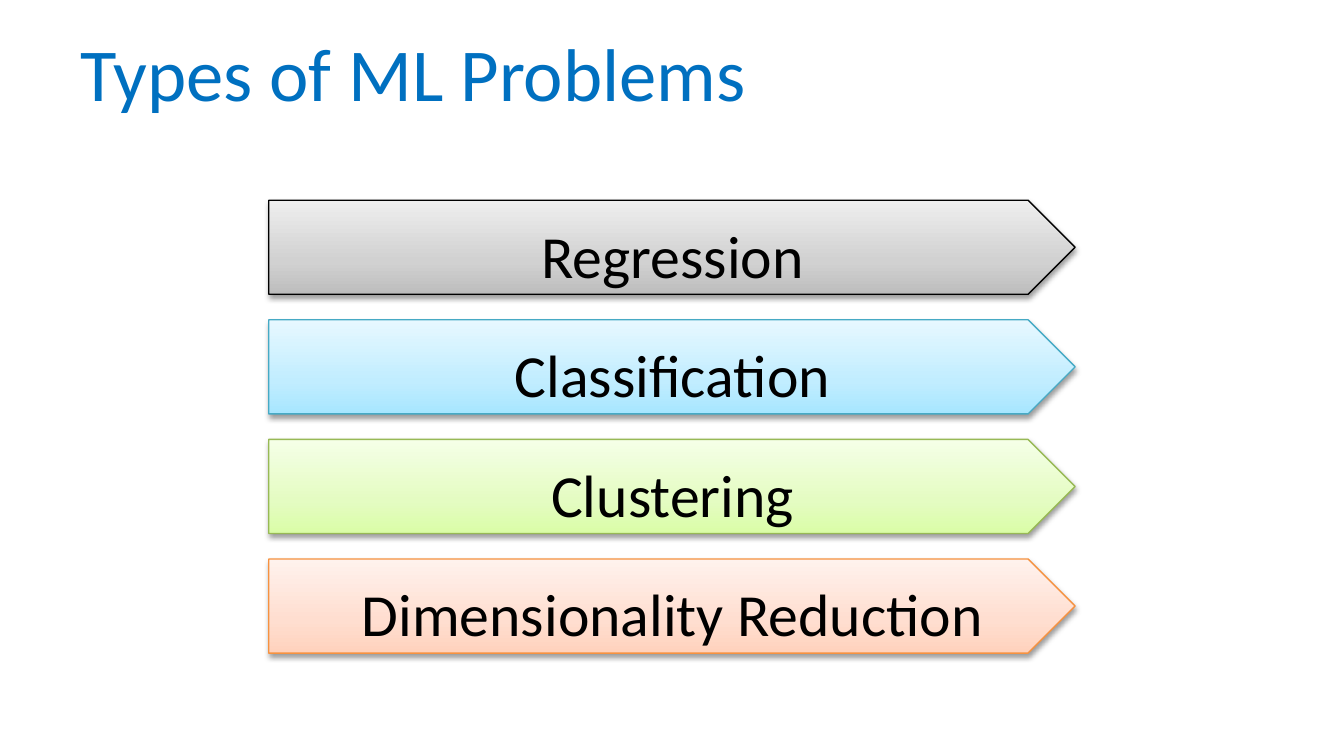
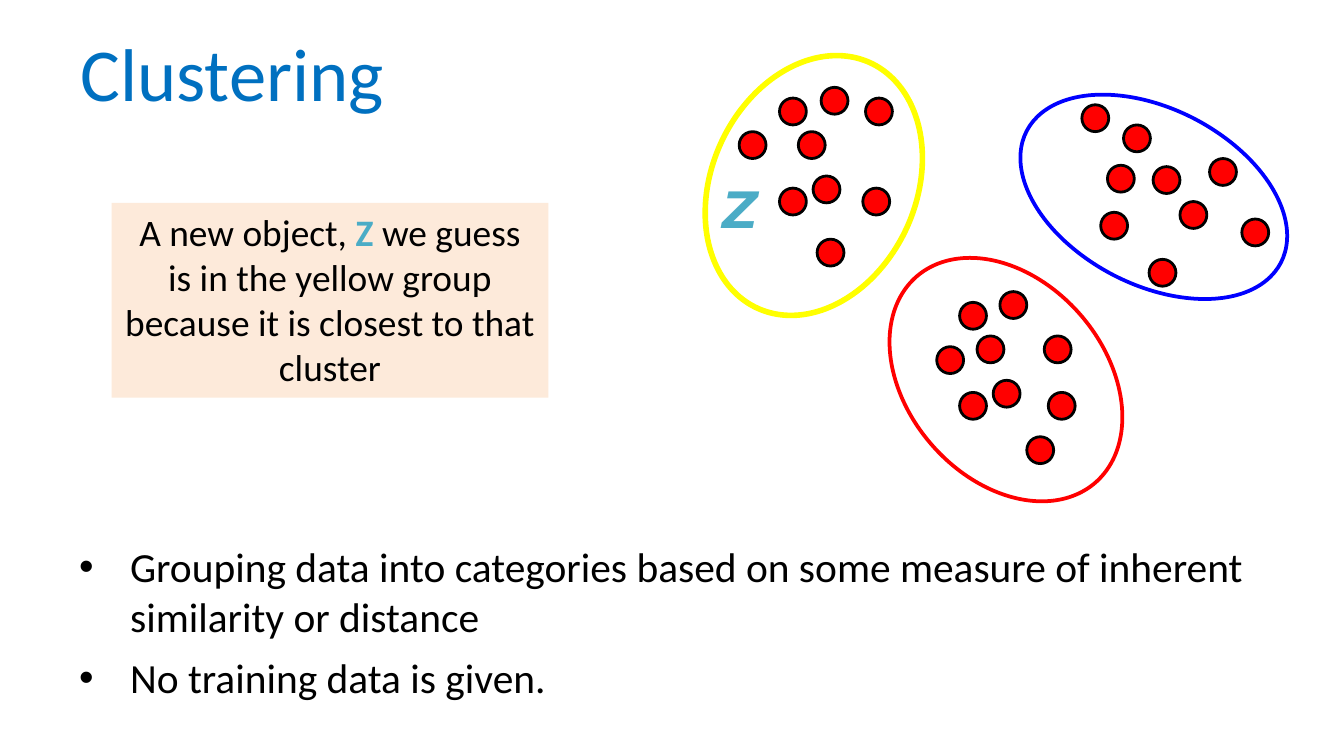
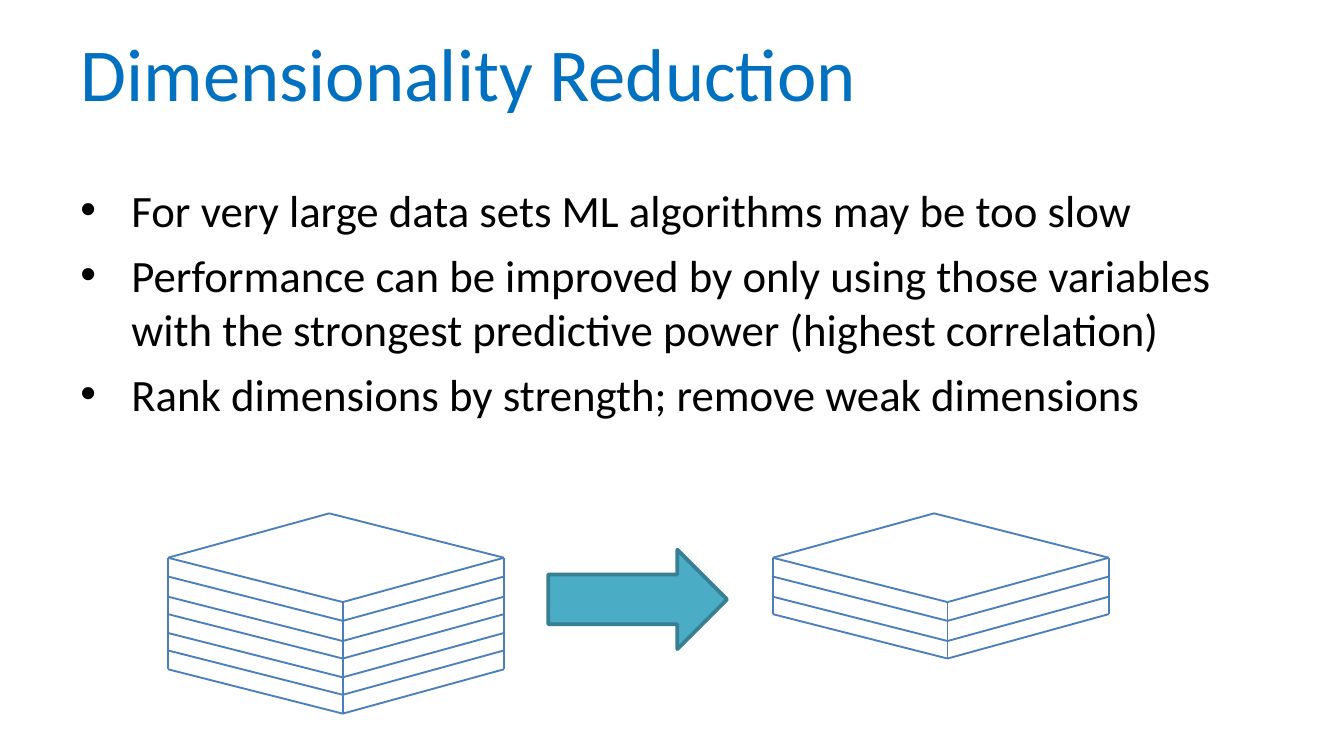
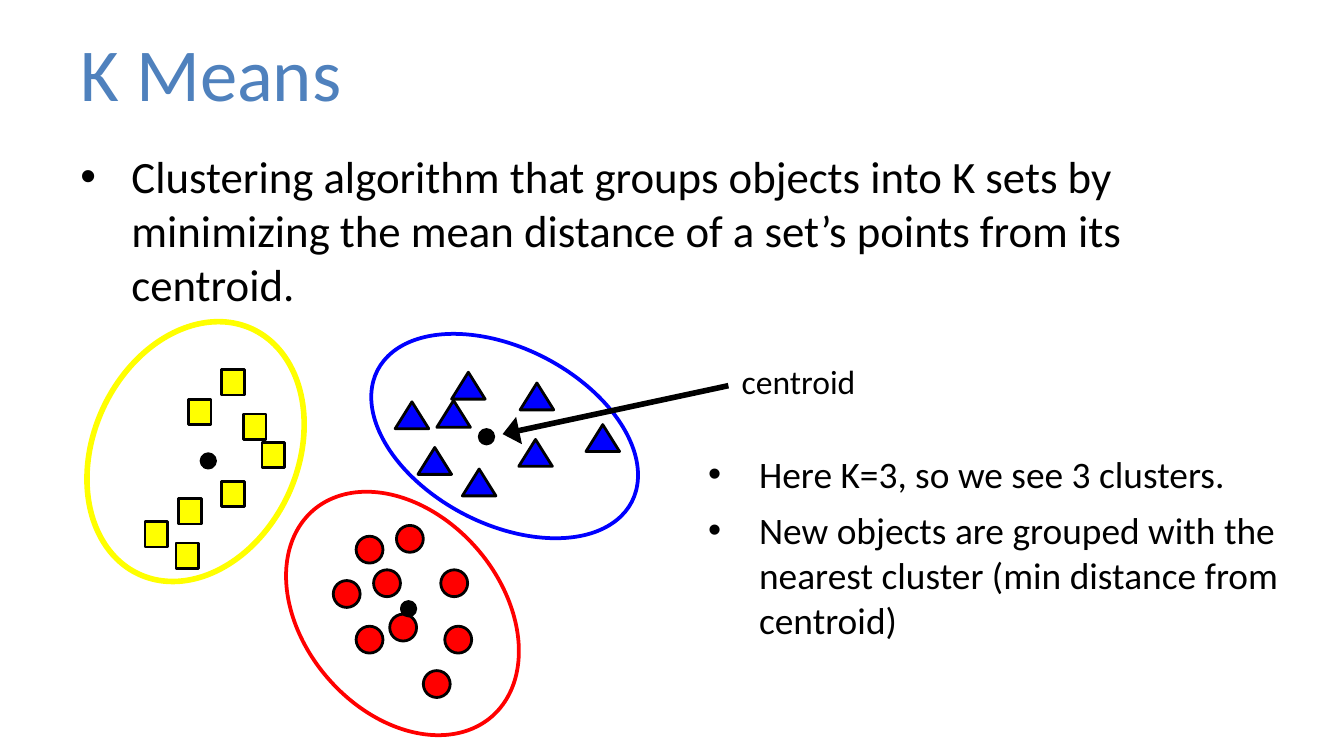
from copy import deepcopy

from lxml import etree
from pptx import Presentation
from pptx.dml.color import RGBColor
from pptx.enum.shapes import MSO_CONNECTOR, MSO_SHAPE
from pptx.enum.text import MSO_ANCHOR, MSO_AUTO_SIZE, PP_ALIGN
from pptx.oxml import parse_xml
from pptx.oxml.ns import nsdecls, qn
from pptx.util import Inches, Pt

STRAIGHT = MSO_CONNECTOR.STRAIGHT
OVAL = MSO_SHAPE.OVAL
RECTANGLE = MSO_SHAPE.RECTANGLE
TRIANGLE = MSO_SHAPE.ISOSCELES_TRIANGLE
RIGHT_ARROW = MSO_SHAPE.RIGHT_ARROW
PENTAGON = MSO_SHAPE.PENTAGON
LEFT = PP_ALIGN.LEFT
CENTER = PP_ALIGN.CENTER
TOP = MSO_ANCHOR.TOP
MIDDLE = MSO_ANCHOR.MIDDLE
NO_FIT = MSO_AUTO_SIZE.NONE

BLACK = RGBColor(0x00, 0x00, 0x00)
RED = RGBColor(0xFF, 0x00, 0x00)
YELLOW = RGBColor(0xFF, 0xFF, 0x00)
BLUE = RGBColor(0x00, 0x00, 0xFF)
TITLE_BLUE = RGBColor(0x00, 0x70, 0xC0)
SOFT_BLUE = RGBColor(0x4F, 0x81, 0xBD)
STACK_BLUE = RGBColor(0x4B, 0x7E, 0xBC)
TEAL = RGBColor(0x4B, 0xAC, 0xC6)
DARK_TEAL = RGBColor(0x37, 0x7F, 0x92)
PEACH = RGBColor(0xFD, 0xEA, 0xDA)
GREEN_LINE = RGBColor(0x98, 0xB9, 0x55)
CYAN_LINE = RGBColor(0x46, 0xAA, 0xC5)
ORANGE_LINE = RGBColor(0xF6, 0x92, 0x40)
GRAY_SHADES = RGBColor(0xBD, 0xBD, 0xBD), RGBColor(0xD1, 0xD1, 0xD1), RGBColor(0xEE, 0xEE, 0xEE)
CYAN_SHADES = RGBColor(0xA7, 0xE6, 0xFF), RGBColor(0xC1, 0xED, 0xFF), RGBColor(0xE7, 0xF8, 0xFF)
GREEN_SHADES = RGBColor(0xDA, 0xFD, 0xA7), RGBColor(0xE4, 0xFC, 0xC2), RGBColor(0xF5, 0xFF, 0xE7)
ORANGE_SHADES = RGBColor(0xFF, 0xD2, 0xBD), RGBColor(0xFF, 0xDE, 0xD0), RGBColor(0xFF, 0xF2, 0xED)


def write_text(frame, paragraphs, size, color=BLACK, font="Calibri", bold=False, italic=False,
               accent="", align=LEFT, anchor=TOP, wrap=True, bullet=False,
               before=0, after=0, spacing=1.0):
    frame.word_wrap = wrap
    frame.auto_size = NO_FIT
    frame.vertical_anchor = anchor
    for index, text in enumerate(paragraphs):
        paragraph = frame.add_paragraph() if index else frame.paragraphs[0]
        paragraph.alignment = align
        paragraph.line_spacing = spacing
        paragraph.space_before = Pt(before)
        paragraph.space_after = Pt(after)
        if bullet:
            properties = paragraph._p.get_or_add_pPr()
            properties.set("marL", str(Inches(0.38)))
            properties.set("indent", str(Inches(-0.38)))
            etree.SubElement(properties, qn("a:buFont")).set("typeface", "Arial")
            etree.SubElement(properties, qn("a:buChar")).set("char", "•")
        for line_index, line in enumerate(text.split("\n")):
            if line_index:
                paragraph.add_line_break()
            for part in line.partition(accent) if accent else [line]:
                run = paragraph.add_run()
                run.text = part
                run.font.name = font
                run.font.size = Pt(size)
                run.font.bold = bold or part == accent
                run.font.italic = italic
                run.font.color.rgb = TEAL if part == accent else color


def add_figure(slide, preset, left, top, width, height, fill=None, line=None, weight=1.5, rotation=0):
    shape = slide.shapes.add_shape(preset, Inches(left), Inches(top), Inches(width), Inches(height))
    shape.shadow.inherit = False
    shape.rotation = rotation
    if fill is None:
        shape.fill.background()
    else:
        shape.fill.solid()
        shape.fill.fore_color.rgb = fill
    if line is None:
        shape.line.fill.background()
    else:
        shape.line.color.rgb = line
        shape.line.width = Pt(weight)
    return shape


presentation = Presentation()
presentation.slide_width = Inches(10)
presentation.slide_height = Inches(10 * 9 / 16)

TITLES = [
    ("Types of ML Problems", TITLE_BLUE),
    ("Clustering", TITLE_BLUE),
    ("Dimensionality Reduction", TITLE_BLUE),
    ("K Means", SOFT_BLUE),
]
slides = []
for title_text, title_color in TITLES:
    slide = presentation.slides.add_slide(presentation.slide_layouts[5])
    title = slide.shapes.title
    title.left, title.top, title.width, title.height = map(Inches, (0.5, 0.06, 9, 0.94))
    write_text(title.text_frame, [title_text], 40, title_color, anchor=MIDDLE)
    slides.append(slide)
types_slide, clustering_slide, reduction_slide, means_slide = slides

PROBLEMS = [
    ("Regression", GRAY_SHADES, BLACK),
    ("Classification", CYAN_SHADES, CYAN_LINE),
    ("Clustering", GREEN_SHADES, GREEN_LINE),
    ("Dimensionality Reduction", ORANGE_SHADES, ORANGE_LINE),
]
for index, (name, shades, outline) in enumerate(PROBLEMS):
    banner = add_figure(types_slide, PENTAGON, 2, 1.49 + 0.89 * index, 6, 0.7, line=outline, weight=0.75)
    banner.fill.gradient()
    banner.fill.gradient_angle = 90
    first_stop = banner._element.spPr.find(".//" + qn("a:gs"))
    first_stop.addnext(deepcopy(first_stop))
    for stop, shade, position in zip(banner.fill.gradient_stops, shades, (0, 0.35, 1)):
        stop.color.rgb = shade
        stop.position = position
    banner._element.spPr.find(qn("a:effectLst")).append(parse_xml(
        f'<a:outerShdw {nsdecls("a")} blurRad="{Pt(3.1)}" dist="{Pt(1.6)}" dir="5400000" rotWithShape="0">'
        '<a:srgbClr val="000000"><a:alpha val="38000"/></a:srgbClr></a:outerShdw>'))
names_box = types_slide.shapes.add_textbox(Inches(2.17), Inches(1.31), Inches(5.67), Inches(3.71))
write_text(names_box.text_frame, [name for name, shades, outline in PROBLEMS], 32,
           align=CENTER, spacing=1.5, before=6.4)

BULLETS = [
    (clustering_slide, (0.49, 3.98, 9, 1.35), 22.2, [
        "Grouping data into categories based on some measure of inherent similarity or distance",
        "No training data is given.",
    ]),
    (reduction_slide, (0.5, 1.31, 9, 2.17), 24, [
        "For very large data sets ML algorithms may be too slow",
        "Performance can be improved by only using those variables with the strongest "
        "predictive power (highest correlation)",
        "Rank dimensions by strength; remove weak dimensions",
    ]),
    (means_slide, (0.5, 1.06, 9, 1.44), 24, [
        "Clustering algorithm that groups objects into K sets by minimizing the mean distance "
        "of a set’s points from its centroid.",
    ]),
    (means_slide, (5.17, 3.31, 4.67, 1.53), 20, [
        "Here K=3, so we see 3 clusters.",
        "New objects are grouped with the\nnearest cluster (min distance from\ncentroid)",
    ]),
]
for slide, box, size, lines in BULLETS:
    bullet_box = slide.shapes.add_textbox(*map(Inches, box))
    write_text(bullet_box.text_frame, lines, size, bullet=True, after=6)

RED_DOTS = [(0.5, 0.49), (0.8, 0.41), (0.67, 0.83), (0.92, 0.74), (1.17, 1.16),
            (0.67, 0.16), (0.97, 0.08), (1.3, 0.41), (1.33, 0.83)]
RINGS = [
    (BLUE, 2.13, 1.31, 27.4, 2),
    (YELLOW, 2.01, 1.52, 114.7, 3),
    (RED, 2.03, 1.47, 49.1, 2),
]
RING_CORNERS = [
    (clustering_slide, [(7.52, 0.81), (5.05, 0.62), (6.47, 2.09)]),
    (means_slide, [(2.69, 2.59), (0.45, 2.6), (1.98, 3.83)]),
]
for slide, corners in RING_CORNERS:
    for (left, top), (color, width, height, rotation, weight) in zip(corners, RINGS):
        add_figure(slide, OVAL, left, top, width, height, line=color, weight=weight, rotation=rotation)
    red_left, red_top = corners[-1]
    for x, y in RED_DOTS:
        add_figure(slide, OVAL, red_left + x, red_top + y, 0.2, 0.2, RED, BLACK)

callout = add_figure(clustering_slide, RECTANGLE, 0.83, 1.51, 3.25, 1.45, PEACH)
write_text(callout.text_frame,
           ["A new object, Z we guess is in the yellow group because it is closest to that cluster"],
           20, accent="Z", align=CENTER, after=6)
new_object = clustering_slide.shapes.add_textbox(Inches(5.27), Inches(1.26), Inches(0.49), Inches(0.57))
write_text(new_object.text_frame, ["Z"], 28, TEAL, font="Montserrat", bold=True, italic=True, wrap=False)

BLUE_GROUP_DOTS = [(8.24, 1.23), (8.58, 1.24), (8.19, 1.58), (8.78, 1.5), (8.55, 1.93),
                   (8.36, 0.93), (8.05, 0.78), (9, 1.18), (9.24, 1.63)]
YELLOW_GROUP_DOTS = [(5.5, 0.98), (5.94, 0.98), (5.8, 1.4), (6.05, 1.31), (6.08, 1.78),
                     (5.8, 0.73), (6.11, 0.65), (6.44, 0.73), (6.42, 1.4)]
TRIANGLES = [(2.94, 2.99), (3.11, 3.33), (4.36, 3.16), (3.44, 3.49),
             (3.36, 2.77), (3.25, 2.98), (3.87, 2.85), (3.86, 3.27)]
SQUARES = [(1.4, 2.97), (1.33, 3.71), (1.65, 2.75), (1.81, 3.08),
           (1.08, 3.88), (1.31, 4.04), (1.95, 3.29), (1.65, 3.58)]
CENTROIDS = [(1.5, 3.38), (2.99, 4.48), (3.57, 3.2)]
MARKERS = [
    (clustering_slide, OVAL, 0.2, 0.2, RED, 1.5, BLUE_GROUP_DOTS + YELLOW_GROUP_DOTS),
    (means_slide, TRIANGLE, 0.25, 0.2, BLUE, 1.5, TRIANGLES),
    (means_slide, RECTANGLE, 0.17, 0.19, YELLOW, 1.5, SQUARES),
    (means_slide, OVAL, 0.1, 0.1, BLACK, 2, CENTROIDS),
]
for slide, preset, width, height, fill, weight, corners in MARKERS:
    for left, top in corners:
        add_figure(slide, preset, left, top, width, height, fill, BLACK, weight)

LAYER_LEVELS = [4.15, 4.29, 4.44, 4.57, 4.71, 4.84, 4.98]
FRONT_DROP = 0.33
for left, levels in ((5.75, LAYER_LEVELS[:4]), (1.25, LAYER_LEVELS)):
    back, front, right = left + 1.2, left + 1.3, left + 2.5
    top, bottom = levels[0], levels[-1]
    edges = [
        (left, top, back, top - FRONT_DROP),
        (back, top - FRONT_DROP, right, top),
        (left, top, left, bottom),
        (front, top + FRONT_DROP, front, bottom + FRONT_DROP),
        (right, top, right, bottom),
    ]
    for level in levels:
        edges.append((left, level, front, level + FRONT_DROP))
        edges.append((front, level + FRONT_DROP, right, level))
    stack = reduction_slide.shapes.add_group_shape()
    for edge in edges:
        connector = stack.shapes.add_connector(STRAIGHT, *map(Inches, edge))
        connector.line.color.rgb = STACK_BLUE
        connector.line.width = Pt(1)
        etree.SubElement(connector._element.spPr, qn("a:effectLst"))
add_figure(reduction_slide, RIGHT_ARROW, 4.08, 4.09, 1.33, 0.74, TEAL, DARK_TEAL, 2)

pointer = means_slide.shapes.add_connector(STRAIGHT, Inches(5.42), Inches(2.87), Inches(3.74), Inches(3.23))
pointer.line.color.rgb = BLACK
pointer.line.width = Pt(3)
arrowhead = etree.SubElement(pointer.line._get_or_add_ln(), qn("a:tailEnd"))
arrowhead.set("type", "triangle")
arrowhead.set("w", "lg")
etree.SubElement(pointer._element.spPr, qn("a:effectLst"))
centroid_label = means_slide.shapes.add_textbox(Inches(5.42), Inches(2.64), Inches(1.06), Inches(0.4))
write_text(centroid_label.text_frame, ["centroid"], 18, wrap=False)

presentation.save("out.pptx")
